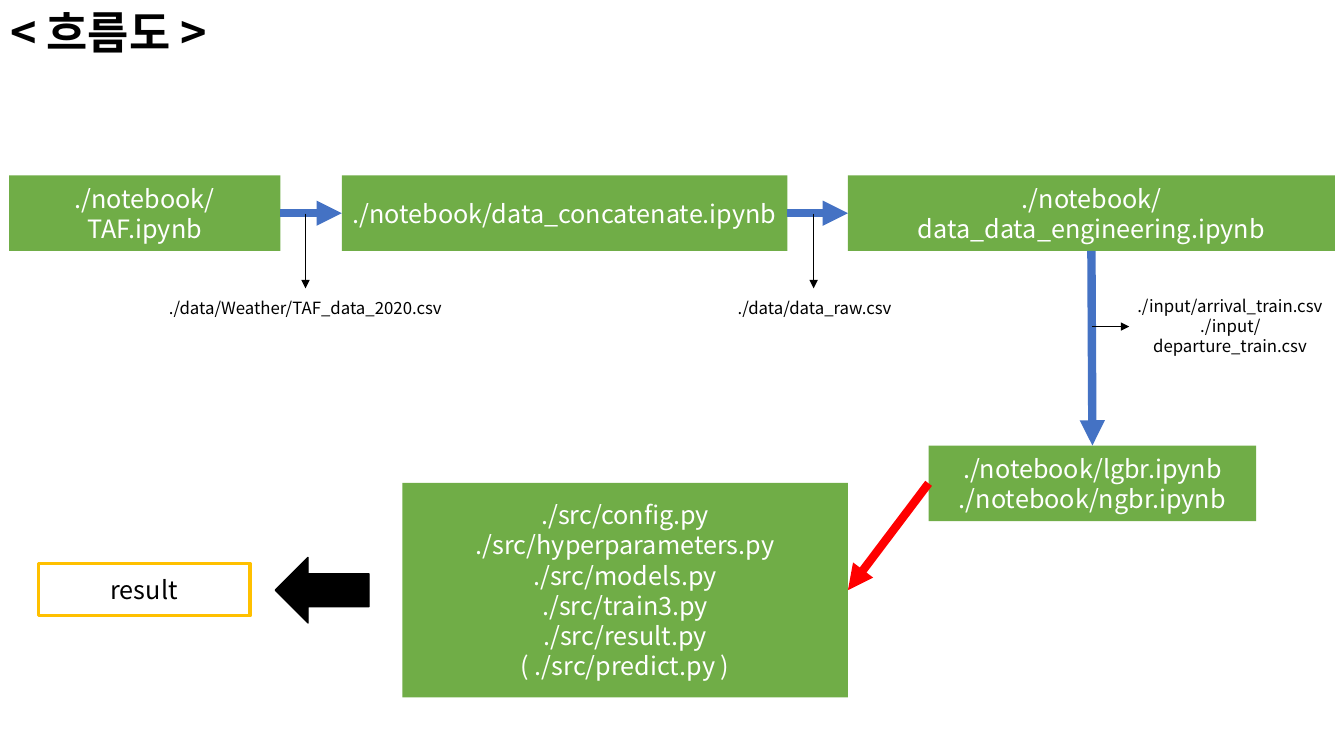
from dataclasses import dataclass

from lxml import etree
from pptx import Presentation
from pptx.dml.color import RGBColor
from pptx.enum.shapes import MSO_CONNECTOR, MSO_SHAPE
from pptx.enum.text import MSO_ANCHOR, MSO_AUTO_SIZE, PP_ALIGN
from pptx.oxml.ns import qn
from pptx.util import Emu, Pt

RECT, ARROW = MSO_SHAPE.RECTANGLE, MSO_SHAPE.RIGHT_ARROW
STRAIGHT = MSO_CONNECTOR.STRAIGHT
LEFT, CENTER = PP_ALIGN.LEFT, PP_ALIGN.CENTER
TOP = MSO_ANCHOR.TOP
NO_FIT = MSO_AUTO_SIZE.NONE
SITE_TOP, SITE_LEFT, SITE_BASE, SITE_RIGHT = range(4)
SCALE = 9144


@dataclass(frozen=True)
class Theme:
    """Colours, font and type sizes of the flow chart."""
    font: str = "Noto Sans CJK KR"
    white: str = "FFFFFF"
    black: str = "000000"
    green: str = "70AD47"
    blue: str = "4472C4"
    red: str = "FF0000"
    gold: str = "FFC000"
    head: int = 32
    body: int = 18
    note: int = 12


def px(*nums):
    """Turn px lengths into EMU."""
    return [Emu(num * SCALE) for num in nums]


class Chart:
    """Draws the elements of the flow chart on one slide."""

    def __init__(self, slide, theme):
        """Keep the slide and its theme."""
        self.slide, self.theme = slide, theme

    def label(self, shape, lines, size, color, align=CENTER, bold=False):
        """Fill a shape with one paragraph per line."""
        frame = shape.text_frame
        frame.text = "\n".join(lines)
        form = {"name": self.theme.font, "size": Pt(size), "bold": bold}
        for para in frame.paragraphs:
            para.alignment = align
            for run in para.runs:
                for key, value in form.items():
                    setattr(run.font, key, value)
                run.font.color.rgb = RGBColor.from_string(color)
                east = etree.SubElement(run.font._element, qn("a:ea"))
                east.set("typeface", self.theme.font)

    def title(self, text, box):
        """Place and format the title."""
        shape = self.slide.shapes.title
        shape.left, shape.top, shape.width, shape.height = px(*box)
        form = {"word_wrap": False, "auto_size": NO_FIT, "vertical_anchor": TOP}
        for key, value in form.items():
            setattr(shape.text_frame, key, value)
        self.label(shape, [text], self.theme.head, self.theme.black, LEFT, True)

    def shape(self, kind, box, fill, edge=None, width=1, turn=0):
        """Add a filled preset shape."""
        shape = self.slide.shapes.add_shape(kind, *px(*box))
        shape.shadow.inherit = False
        shape.rotation = turn
        shape.fill.solid()
        shape.fill.fore_color.rgb = RGBColor.from_string(fill)
        if edge:
            shape.line.color.rgb = RGBColor.from_string(edge)
            shape.line.width = Pt(width)
        else:
            shape.line.fill.background()
        return shape

    def step(self, box, *lines):
        """Add a green box of file names."""
        shape = self.shape(RECT, box, self.theme.green)
        self.label(shape, lines, self.theme.body, self.theme.white)
        return shape

    def note(self, box, *lines):
        """Add a small label for an output file."""
        shape = self.shape(RECT, box, self.theme.white)
        self.label(shape, lines, self.theme.note, self.theme.black)

    def result(self, box, text):
        """Add the outlined end box."""
        shape = self.shape(RECT, box, self.theme.white, self.theme.gold, 2.25)
        self.label(shape, [text], self.theme.body, self.theme.black)

    def arrow(self, ends, color, width):
        """Add a straight arrow."""
        line = self.slide.shapes.add_connector(STRAIGHT, *px(*ends))
        line.line.color.rgb = RGBColor.from_string(color)
        line.line.width = Pt(width)
        props = line._element.spPr
        tail = etree.SubElement(props.find(qn("a:ln")), qn("a:tailEnd"))
        tail.set("type", "triangle")
        etree.SubElement(props, qn("a:effectLst"))
        return line

    def flow(self, start, out, end, into, color):
        """Join two steps with a thick arrow."""
        line = self.arrow((0, 0, 0, 0), color, 6)
        line.begin_connect(start, out)
        line.end_connect(end, into)

    def mark(self, *ends):
        """Add a thin arrow to a note."""
        self.arrow(ends, self.theme.black, 0.5)


def main():
    """Build the flow chart slide."""
    deck = Presentation()
    deck.slide_width, deck.slide_height = px(1333, 750)
    theme = Theme()
    chart = Chart(deck.slides.add_slide(deck.slide_layouts[5]), theme)
    chart.title("< 흐름도 >", (0, 0, 251, 64))

    taf = chart.step((9, 174, 269, 75), "./notebook/TAF.ipynb")
    merge = chart.step((339, 174, 442, 75), "./notebook/data_concatenate.ipynb")
    prep = chart.step((841, 174, 483, 75), "./notebook/data_data_engineering.ipynb")
    model = chart.step((921, 442, 325, 75),
                       "./notebook/lgbr.ipynb", "./notebook/ngbr.ipynb")
    names = ("config", "hyperparameters", "models", "train3", "result")
    code = chart.step((399, 479, 442, 213),
                      *(f"./src/{name}.py" for name in names),
                      "( ./src/predict.py )")

    chart.note((98, 287, 410, 37), "./data/Weather/TAF_data_2020.csv")
    chart.note((603, 287, 410, 37), "./data/data_raw.csv")
    chart.note((1107, 291, 226, 65),
               "./input/arrival_train.csv", "./input/departure_train.csv")

    chart.flow(taf, SITE_RIGHT, merge, SITE_LEFT, theme.blue)
    chart.flow(merge, SITE_RIGHT, prep, SITE_LEFT, theme.blue)
    chart.flow(prep, SITE_BASE, model, SITE_TOP, theme.blue)
    chart.flow(model, SITE_LEFT, code, SITE_RIGHT, theme.red)

    for x in (303, 807):
        chart.mark(x, 212, x, 286)
    chart.mark(1083, 324, 1120, 324)

    chart.shape(ARROW, (273, 553, 93, 65), theme.black, theme.black, turn=180)
    chart.result((38, 559, 210, 52), "result")
    deck.save("out.pptx")


if __name__ == "__main__":
    main()
